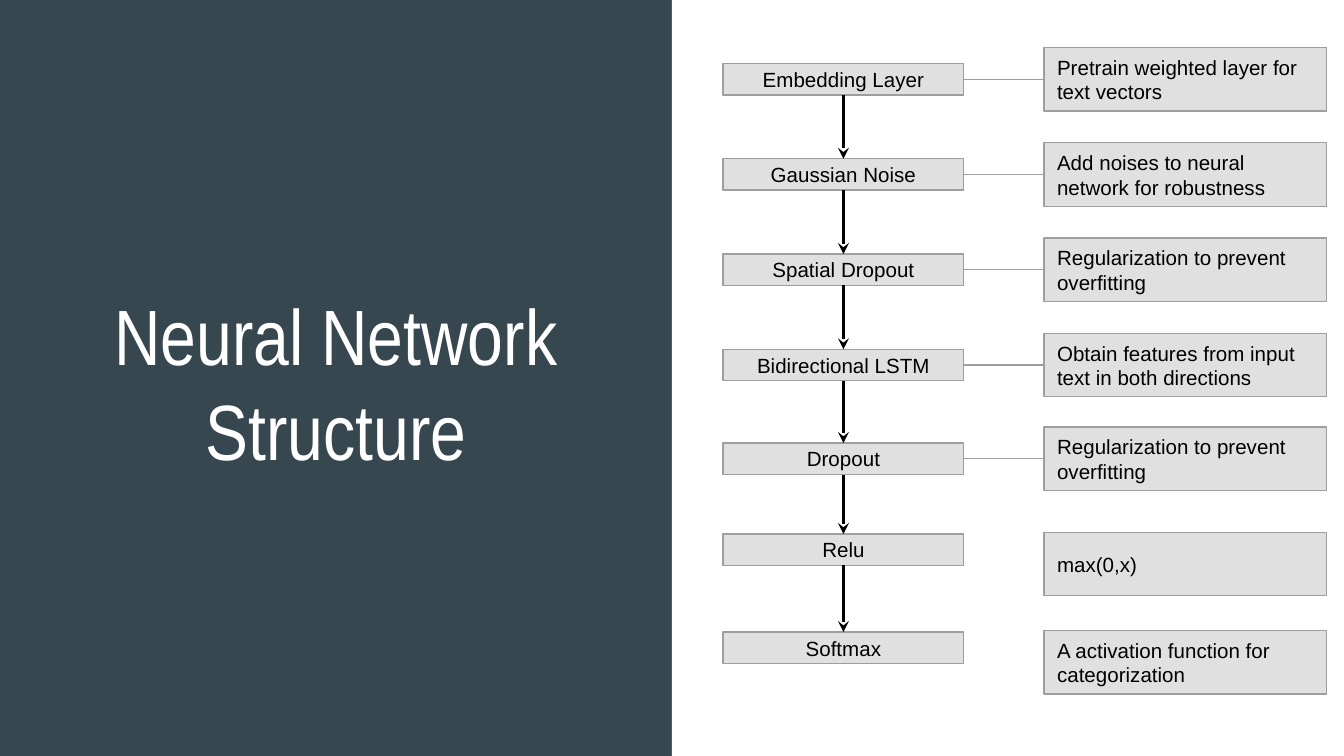
from dataclasses import dataclass
from itertools import pairwise

from lxml import etree
from pptx import Presentation
from pptx.dml.color import RGBColor
from pptx.enum import shapes, text
from pptx.oxml import ns
from pptx.util import Pt

COLORS = {
    "slate": "37474F",
    "white": "FFFFFF",
    "black": "000000",
    "box": "E0E0E0",
    "outline": "9E9E9E",
}
SLIDE_W, SLIDE_H = 720, 405
STEP_LEFT, STEP_W, STEP_H = 387.4, 128.9, 16.9
NOTE_LEFT, NOTE_W, NOTE_H = 559.2, 151.4, 34
STEP_MID = STEP_LEFT + STEP_W / 2
INSET = 7.2


@dataclass(frozen=True)
class Layer:
    name: str
    note: str
    middle: float  # vertical centre of the step, in points
    note_drop: float = 0  # how far an unlinked note sits below its step

    @property
    def top(self) -> float:
        return self.middle - STEP_H / 2

    @property
    def bottom(self) -> float:
        return self.middle + STEP_H / 2


LAYERS = [
    Layer("Embedding Layer", "Pretrain weighted layer for text vectors", 42.5),
    Layer("Gaussian Noise", "Add noises to neural network for robustness", 93.5),
    Layer("Spatial Dropout", "Regularization to prevent overfitting", 144.5),
    Layer("Bidirectional LSTM", "Obtain features from input text in both directions", 195.6),
    Layer("Dropout", "Regularization to prevent overfitting", 245.8),
    Layer("Relu", "max(0,x)", 294.5, note_drop=7.7),
    Layer("Softmax", "A activation function for categorization", 347.1, note_drop=7.7),
]


def rgb(name: str) -> RGBColor:
    return RGBColor.from_string(COLORS[name])


def write(shape, content: str, *, size: float = 11, font: str = "Arial",
          color: str = "black", align=text.PP_ALIGN.LEFT,
          anchor=text.MSO_ANCHOR.MIDDLE) -> None:
    frame = shape.text_frame
    frame.text = content
    frame.word_wrap = True
    frame.auto_size = text.MSO_AUTO_SIZE.NONE
    frame.vertical_anchor = anchor
    frame.margin_left = frame.margin_right = Pt(INSET)
    frame.margin_top = frame.margin_bottom = Pt(INSET)
    paragraph = frame.paragraphs[0]
    paragraph.alignment = align
    run_font = paragraph.runs[0].font
    run_font.size = Pt(size)
    run_font.name = font
    run_font.color.rgb = rgb(color)


def add_box(slide, left: float, top: float, width: float, height: float,
            fill: str = "box", outline: str | None = "outline"):
    box = slide.shapes.add_shape(
        shapes.MSO_SHAPE.RECTANGLE, Pt(left), Pt(top), Pt(width), Pt(height))
    box.shadow.inherit = False
    box.fill.solid()
    box.fill.fore_color.rgb = rgb(fill)
    if outline:
        box.line.color.rgb = rgb(outline)
        box.line.width = Pt(0.75)
    else:
        box.line.fill.background()
    return box


def add_line(slide, start: tuple[float, float], end: tuple[float, float],
             color: str, width: float, arrow: bool = False) -> None:
    line = slide.shapes.add_connector(
        shapes.MSO_CONNECTOR.STRAIGHT, *(Pt(value) for value in start + end))
    line.line.color.rgb = rgb(color)
    line.line.width = Pt(width)
    if arrow:
        etree.SubElement(line.line._get_or_add_ln(), ns.qn("a:tailEnd"), type="stealth")
    etree.SubElement(line._element.spPr, ns.qn("a:effectLst"))


def add_title(slide, content: str) -> None:
    title = slide.shapes.title
    title.left, title.top, title.width, title.height = (
        Pt(21), Pt(127.5), Pt(318), Pt(134.6))
    write(title, content, size=42, font="Arial Narrow", color="white",
          align=text.PP_ALIGN.CENTER, anchor=text.MSO_ANCHOR.BOTTOM)


def add_layer(slide, layer: Layer) -> None:
    """Draw a step, its note and, where they are level, the line between them."""
    step = add_box(slide, STEP_LEFT, layer.top, STEP_W, STEP_H)
    write(step, layer.name, align=text.PP_ALIGN.CENTER)
    note_top = layer.middle + layer.note_drop - NOTE_H / 2
    write(add_box(slide, NOTE_LEFT, note_top, NOTE_W, NOTE_H), layer.note)
    if not layer.note_drop:
        add_line(slide, (STEP_LEFT + STEP_W, layer.middle),
                 (NOTE_LEFT, layer.middle), "outline", 0.75)


def main() -> None:
    deck = Presentation()
    deck.slide_width, deck.slide_height = Pt(SLIDE_W), Pt(SLIDE_H)
    slide = deck.slides.add_slide(deck.slide_layouts.get_by_name("Title Only"))
    slide.background.fill.solid()
    slide.background.fill.fore_color.rgb = rgb("slate")

    add_box(slide, SLIDE_W / 2, 0, SLIDE_W / 2, SLIDE_H, fill="white", outline=None)
    add_title(slide, "Neural Network Structure")
    for layer in LAYERS:
        add_layer(slide, layer)
    for upper, lower in pairwise(LAYERS):
        add_line(slide, (STEP_MID, upper.bottom), (STEP_MID, lower.top),
                 "black", 1.5, arrow=True)
    deck.save("out.pptx")


if __name__ == "__main__":
    main()
